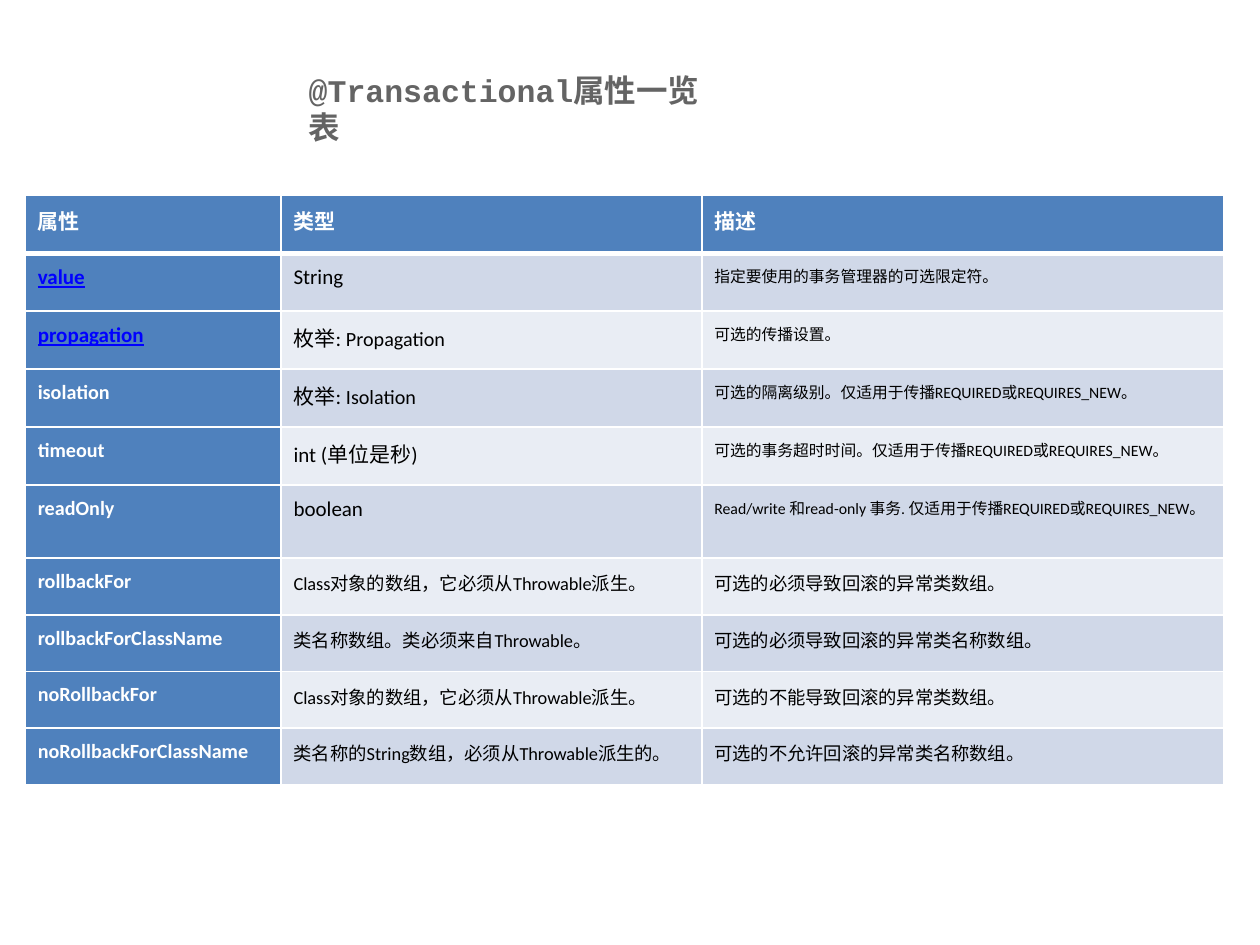
from lxml.etree import SubElement
from pptx import Presentation
from pptx.dml.color import RGBColor
from pptx.enum.text import MSO_ANCHOR, MSO_AUTO_SIZE, PP_ALIGN
from pptx.oxml.ns import qn
from pptx.util import Inches, Pt

WHITE = RGBColor(0xFF, 0xFF, 0xFF)
BLACK = RGBColor(0x00, 0x00, 0x00)
GRAY = RGBColor(0x64, 0x64, 0x64)
LINK_BLUE = RGBColor(0x00, 0x00, 0xFF)
HEADER_BLUE = RGBColor(0x4F, 0x81, 0xBD)
BANDS = [RGBColor(0xE9, 0xED, 0xF4), RGBColor(0xD0, 0xD8, 0xE8)]

TITLE = "@Transactional属性一览表"
HEADER = ("属性", "类型", "描述")
ATTRIBUTES = [
    ("value", ["String"], "指定要使用的事务管理器的可选限定符。"),
    ("propagation", ["枚举: ", "Propagation"], "可选的传播设置。"),
    ("isolation", ["枚举: ", "Isolation"],
     "可选的隔离级别。仅适用于传播REQUIRED或REQUIRES_NEW。"),
    ("timeout", ["int (单位是秒)"],
     "可选的事务超时时间。仅适用于传播REQUIRED或REQUIRES_NEW。"),
    ("readOnly", ["boolean"],
     "Read/write 和read-only 事务. 仅适用于传播REQUIRED或REQUIRES_NEW。"),
    ("rollbackFor", ["Class对象的数组，它必须从Throwable派生。"],
     "可选的必须导致回滚的异常类数组。"),
    ("rollbackForClassName", ["类名称数组。类必须来自Throwable。"],
     "可选的必须导致回滚的异常类名称数组。"),
    ("noRollbackFor", ["Class对象的数组，它必须从Throwable派生。"],
     "可选的不能导致回滚的异常类数组。"),
    ("noRollbackForClassName", ["类名称的String数组，必须从Throwable派生的。"],
     "可选的不允许回滚的异常类名称数组。"),
]
LINKED = {"value", "propagation"}
SHORT_ROWS = 5
COLUMN_WIDTHS = [2.03, 3.34, 4.14]
ROW_HEIGHTS = [0.46] * 5 + [0.58] + [0.45] * 4


def add_borders(cell, bottom):
    properties = cell._tc.get_or_add_tcPr()
    for side, width in (("lnL", 1), ("lnR", 1), ("lnT", 1), ("lnB", bottom)):
        line = SubElement(properties, qn(f"a:{side}"), w=str(Pt(width)))
        fill = SubElement(line, qn("a:solidFill"))
        SubElement(fill, qn("a:srgbClr"), val=str(WHITE))


def fill_cell(cell, texts, sizes, color, fill, bold=False, underline=False, header=False):
    add_borders(cell, 3 if header else 1)
    cell.fill.solid()
    cell.fill.fore_color.rgb = fill
    cell.margin_left = cell.margin_right = Inches(0.1)
    cell.margin_top = Inches(0.08 if header else 0.09)
    cell.margin_bottom = Inches(0.1 if header else 0.09)
    para = cell.text_frame.paragraphs[0]
    para.font.name = "Calibri"
    para.font.bold = bold
    para.font.underline = underline
    para.font.color.rgb = color
    for text, size in zip(texts, sizes):
        span = para.add_run()
        span.text = text
        font = span.font
        font.name, font.size, font.bold, font.underline = "Calibri", Pt(size), bold, underline
        font.color.rgb = color


def add_title(page):
    box = page.shapes.title
    box.left, box.top, box.width, box.height = map(Inches, (2.35, 0.51, 3.55, 0.4))
    frame = box.text_frame
    frame.text = TITLE
    frame.word_wrap = True
    frame.auto_size = MSO_AUTO_SIZE.NONE
    frame.vertical_anchor = MSO_ANCHOR.TOP
    para = frame.paragraphs[0]
    para.alignment = PP_ALIGN.LEFT
    font = para.font
    font.name, font.size, font.bold = "Courier New", Pt(18), True
    font.color.rgb = GRAY


def add_attribute_table(page):
    table = page.shapes.add_table(
        len(ROW_HEIGHTS), len(COLUMN_WIDTHS), Inches(0.2), Inches(1.55),
        Inches(sum(COLUMN_WIDTHS)), Inches(sum(ROW_HEIGHTS))).table
    for column, width in zip(table.columns, COLUMN_WIDTHS):
        column.width = Inches(width)
    for row, height in zip(table.rows, ROW_HEIGHTS):
        row.height = Inches(height)
    for index, text in enumerate(HEADER):
        fill_cell(table.cell(0, index), [text], [12], WHITE, HEADER_BLUE, bold=True, header=True)
    for index, (name, kind, description) in enumerate(ATTRIBUTES, 1):
        linked = name in LINKED
        short = index <= SHORT_ROWS
        band = BANDS[index % 2]
        fill_cell(table.cell(index, 0), [name], [12 if linked else 11.5],
                  LINK_BLUE if linked else WHITE, HEADER_BLUE, bold=True, underline=linked)
        fill_cell(table.cell(index, 1), kind, [12 if short else 10.5, 11.5], BLACK, band)
        fill_cell(table.cell(index, 2), [description], [9 if short else 10.5], BLACK, band)


def main():
    deck = Presentation()
    deck.slide_width, deck.slide_height = Inches(10), Inches(7.5)
    page = deck.slides.add_slide(deck.slide_layouts.get_by_name("Title Only"))
    add_title(page)
    add_attribute_table(page)
    deck.save("out.pptx")


if __name__ == "__main__":
    main()
